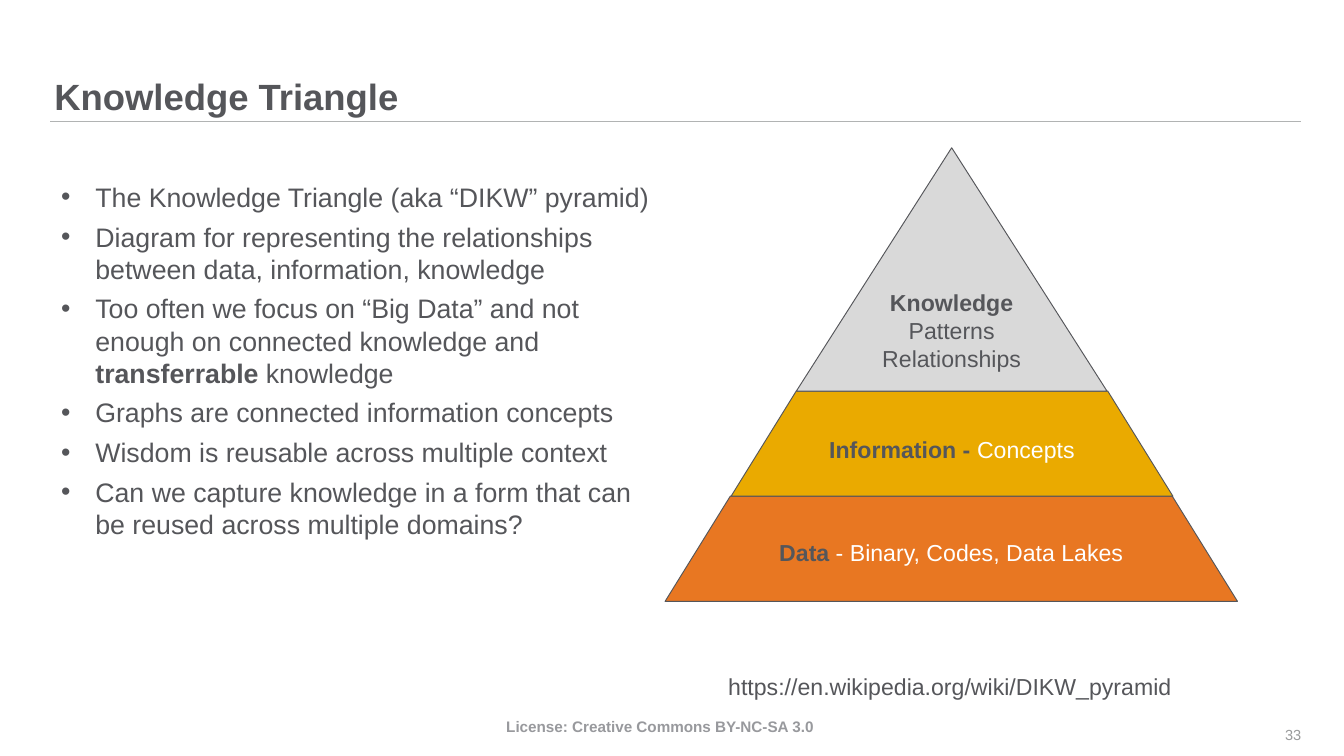
from lxml import etree
from pptx import Presentation
from pptx import util as u
from pptx.dml.color import RGBColor
from pptx.enum import shapes, text
from pptx.oxml.ns import qn

PX = 9144  # EMU per px, 100 px to the inch
COLORS = {
    "ink": "55565A", "white": "FFFFFF", "rule": "B1B3B3",
    "license": "98999D", "number": "999A9B",
    "data": "E87722", "information": "EAAA00", "knowledge": "D9D9D9",
}
ALIGN, ANCHOR = text.PP_ALIGN, text.MSO_ANCHOR


class Deck:
    font = "Arial"

    def __init__(self, width, height):
        self.prs = Presentation()
        self.prs.slide_width, self.prs.slide_height = width * PX, height * PX
        self.slide = self.prs.slides.add_slide(self.prs.slide_layouts[5])

    def color(self, name):
        return RGBColor.from_string(COLORS[name])

    def style(self, font, size, color="ink", bold=None):
        font.name, font.size, font.bold = self.font, u.Pt(size), bold
        font.color.rgb = self.color(color)

    def frame(self, shape, anchor, inset=True):
        frame = shape.text_frame
        frame.word_wrap, frame.vertical_anchor = True, anchor
        if not inset:
            frame.margin_left = frame.margin_right = 0
            frame.margin_top = frame.margin_bottom = 0
        return frame

    def title(self, box, words):
        title = self.slide.shapes.title
        title.left, title.top, title.width, title.height = [n * PX for n in box]
        frame = self.frame(title, ANCHOR.BOTTOM, inset=False)
        frame.auto_size = text.MSO_AUTO_SIZE.NONE
        heading = frame.paragraphs[0]
        heading.text, heading.alignment, heading.line_spacing = words, ALIGN.LEFT, 0.9
        self.style(heading.font, 38.2, bold=True)

    def rule(self, x1, x2, y):
        rule = self.slide.shapes.add_connector(
            shapes.MSO_CONNECTOR.STRAIGHT, x1 * PX, y * PX, x2 * PX, y * PX)
        rule.line.color.rgb, rule.line.width = self.color("rule"), u.Pt(1)
        etree.SubElement(rule._element.spPr, qn("a:effectLst"))

    def label(self, box, words, size, color="ink", bold=None, align=ALIGN.LEFT,
              anchor=ANCHOR.TOP, inset=True):
        label = self.slide.shapes.add_textbox(*[n * PX for n in box])
        line = self.frame(label, anchor, inset).paragraphs[0]
        line.text, line.alignment = words, align
        self.style(line.font, size, color, bold)

    def bullets(self, box, points, size):
        """Each point is a list of (words, bold) runs."""
        body = self.slide.shapes.add_textbox(*[n * PX for n in box])
        frame = self.frame(body, ANCHOR.TOP)
        for i, runs in enumerate(points):
            point = frame.add_paragraph() if i else frame.paragraphs[0]
            point.space_after = u.Pt(8)
            props = point._p.get_or_add_pPr()
            props.set("marL", str(50 * PX))
            props.set("indent", str(-50 * PX))
            etree.SubElement(props, qn("a:buFont"), typeface="Arial")
            etree.SubElement(props, qn("a:buChar"), char="•")
            self.style(point.font, size)
            for words, bold in runs:
                run = point.add_run()
                run.text = words
                if bold:
                    run.font.bold = True

    def layer(self, preset, box, fill, name, detail, detail_color, slope=None):
        layer = self.slide.shapes.add_shape(preset, *[n * PX for n in box])
        layer.shadow.inherit = False
        if slope:
            layer.adjustments[0] = slope
        layer.fill.solid()
        layer.fill.fore_color.rgb = self.color(fill)
        layer.line.color.rgb, layer.line.width = self.color("ink"), u.Pt(1)
        caption = self.frame(layer, ANCHOR.MIDDLE).paragraphs[0]
        caption.alignment = ALIGN.CENTER
        for words, color, bold in ((name, "ink", True), (detail, detail_color, False)):
            run = caption.add_run()
            run.text = words
            self.style(run.font, 24.2, color, bold)


def main():
    deck = Deck(1956, 1100)

    # Heading and footer
    deck.rule(73, 1894, 177)
    deck.title((79, 0, 1815, 172), "Knowledge Triangle")
    deck.label((575, 1039, 771, 37), "License: Creative Commons BY-NC-SA 3.0",
               16, "license", bold=True, align=ALIGN.CENTER)
    deck.label((1807, 1040, 87, 59), "33", 15.3, "number", align=ALIGN.RIGHT,
               anchor=ANCHOR.MIDDLE, inset=False)
    deck.label((1050, 973, 834, 51), "https://en.wikipedia.org/wiki/DIKW_pyramid", 24.2)

    # Main points
    deck.bullets((79, 258, 887, 596), [
        [("The Knowledge Triangle (aka “DIKW” pyramid)", False)],
        [("Diagram for representing the relationships between data, "
          "information, knowledge", False)],
        [("Too often we focus on “Big Data” and not enough on connected "
          "knowledge and ", False), ("transferrable", True), (" knowledge", False)],
        [("Graphs are connected information concepts", False)],
        [("Wisdom is reusable across multiple context", False)],
        [("Can we capture knowledge in a form that can be reused across "
          "multiple domains?", False)],
    ], 28)

    # Pyramid, from base to tip
    preset = shapes.MSO_SHAPE
    deck.layer(preset.TRAPEZOID, (968, 722, 833, 153), "data",
               "Data", " - Binary, Codes, Data Lakes", "white", 0.62)
    deck.layer(preset.TRAPEZOID, (1064, 569, 643, 153), "information",
               "Information - ", "Concepts", "white", 0.62)
    deck.layer(preset.ISOSCELES_TRIANGLE, (1159, 215, 452, 354), "knowledge",
               "Knowledge", " Patterns Relationships", "ink")

    deck.prs.save("out.pptx")


if __name__ == "__main__":
    main()
